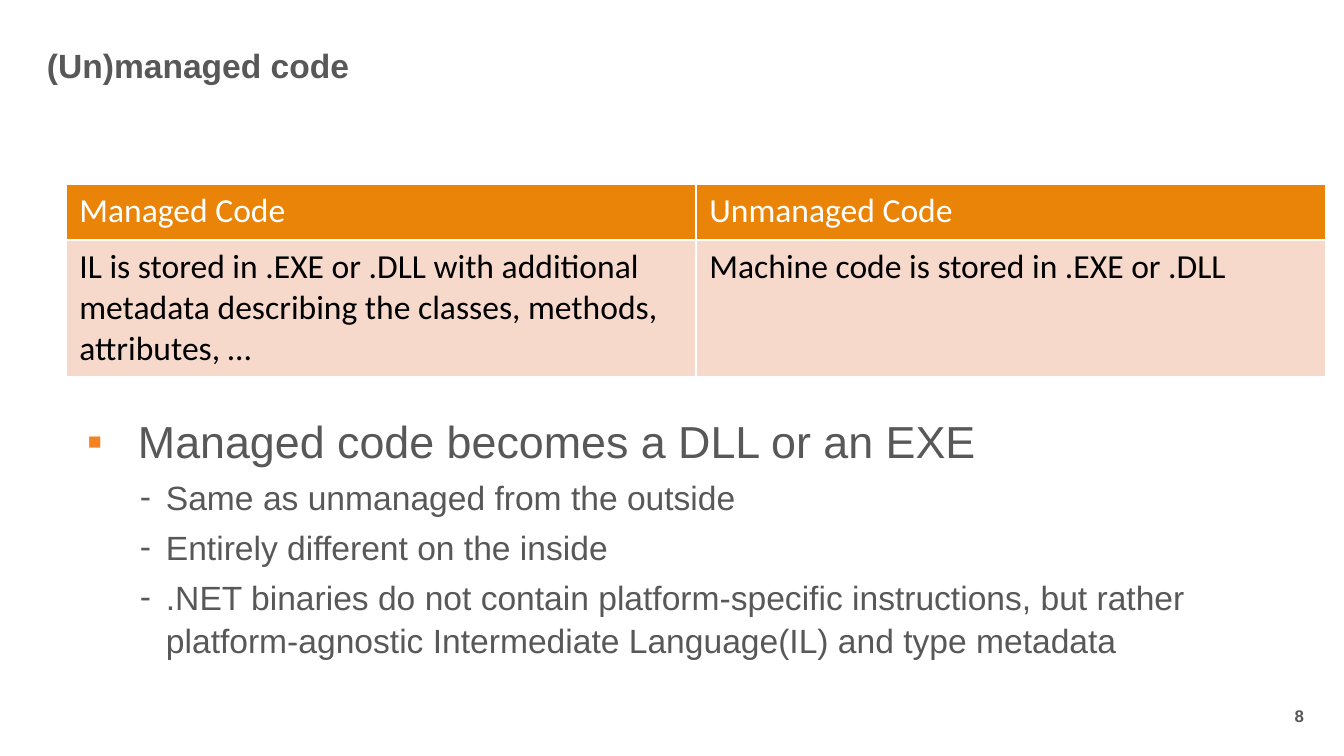
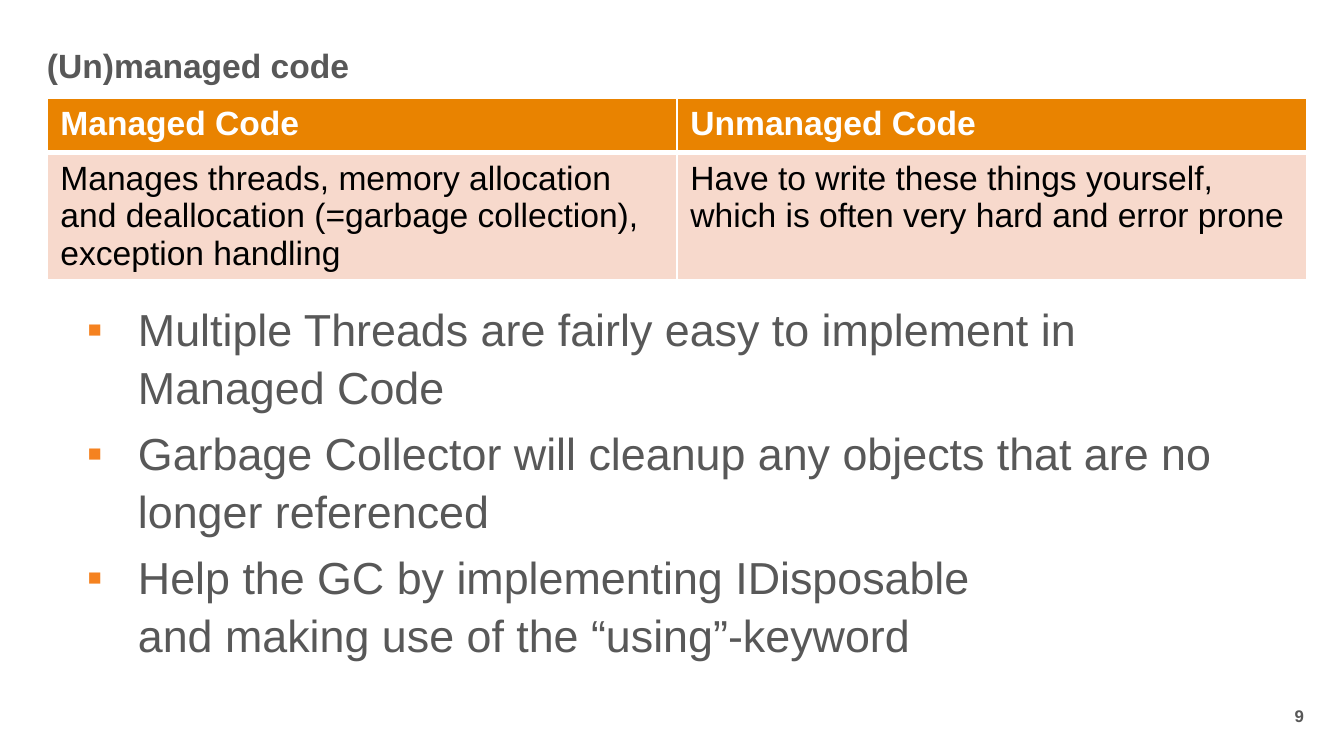
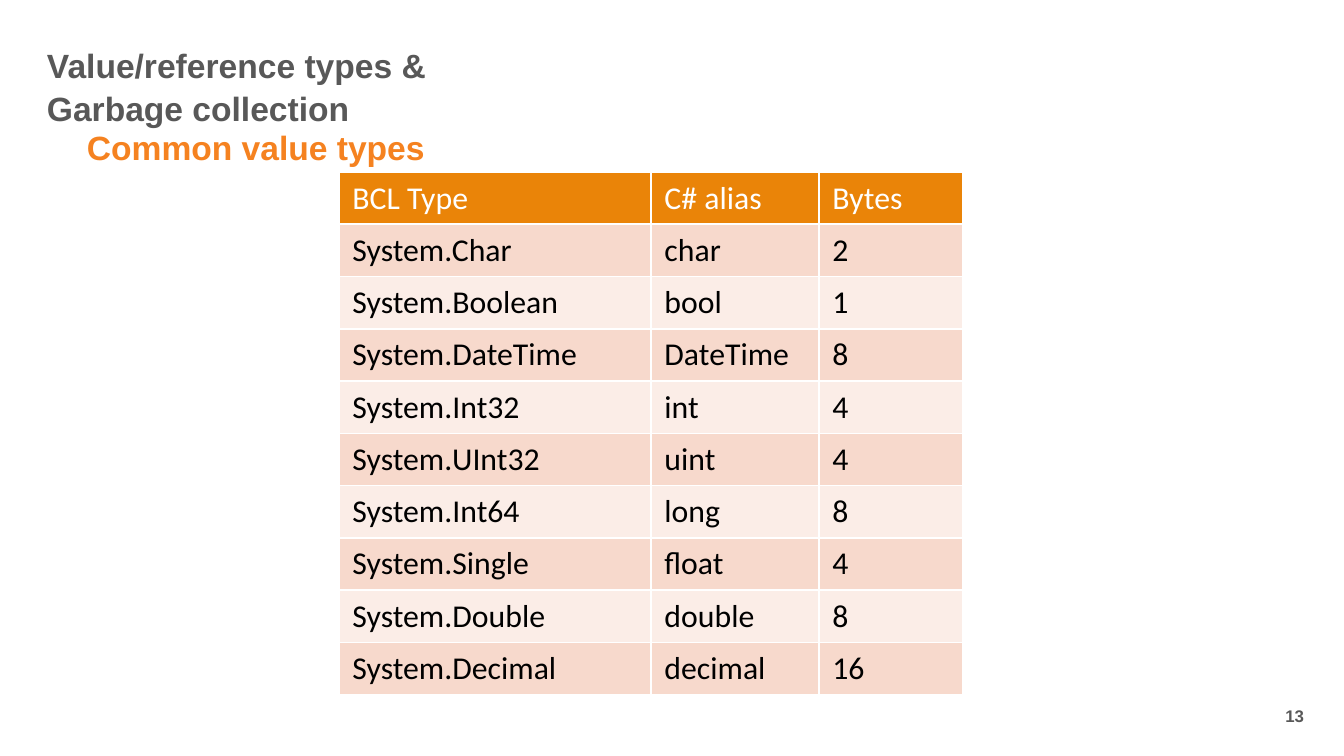
from dataclasses import dataclass

from lxml.etree import SubElement
from pptx import Presentation
from pptx.dml.color import RGBColor
from pptx.enum.text import MSO_ANCHOR as Anchor, MSO_AUTO_SIZE as AutoSize, PP_ALIGN as Align
from pptx.oxml.ns import qn
from pptx.util import Emu, Pt


@dataclass(frozen=True)
class Theme:
    gray: str = "585858"
    accent: str = "F58220"
    white: str = "FFFFFF"
    black: str = "000000"
    header: str = "EA8408"
    bands: tuple = ("F7D9CC", "FBEDE7")
    sans: str = "Arial"
    table_font: str = "Calibri"
    heading: int = 18
    bullets: tuple = (24, 18)
    number: int = 9
    spacing: float = 1.07


THEME = Theme()
PX = 914400 / 134.4
PAGE_SIZE = (1344, 756)
TITLE_BOX = (47, 42, 418, 36)
SUBTITLE_BOX = (87, 124, 1168, 70)
NUMBER_BOX = (1277, 699, 32, 31)
BODY_LEFT, BODY_WIDTH = 87, 1168

# Marker, marker colour, left margin and hanging indent of each bullet level
BULLETS = [("▪", THEME.accent, 51, -51), ("-", THEME.gray, 79, -26)]

PAGES = [
    {
        "number": 8,
        "title": "(Un)managed code",
        "table": {
            "at": (66, 184), "columns": [630, 630], "heights": [56, 136],
            "rows": [
                ("Managed Code", "Unmanaged Code"),
                ("IL is stored in .EXE or .DLL with additional metadata describing "
                 "the classes, methods, attributes, …",
                 "Machine code is stored in .EXE or .DLL"),
            ],
        },
        "body_top": 410,
        "body": [
            (0, "Managed code becomes a DLL or an EXE"),
            (1, "Same as unmanaged from the outside"),
            (1, "Entirely different on the inside"),
            (1, ".NET binaries do not contain platform-specific instructions, but rather "
                "platform-agnostic Intermediate Language(IL) and type metadata"),
        ],
    },
    {
        "number": 9,
        "title": "(Un)managed code",
        "table": {
            "at": (47, 98), "columns": [630, 630], "heights": [55, 125],
            "font": THEME.sans, "header": "E98300", "bold_header": True, "rule": 3,
            "rows": [
                ("Managed Code", "Unmanaged Code"),
                ("Manages threads, memory allocation and deallocation "
                 "(=garbage collection), exception handling",
                 "Have to write these things yourself, which is often very hard "
                 "and error prone"),
            ],
        },
        "body_top": 298,
        "body": [
            (0, "Multiple Threads are fairly easy to implement in Managed Code"),
            (0, "Garbage Collector will cleanup any objects that are no longer referenced"),
            (0, "Help the GC by implementing IDisposable\n"
                "and making use of the “using”-keyword"),
        ],
    },
    {
        "number": 13,
        "title": "Value/reference types & Garbage collection",
        "subtitle": "Common value types",
        "table": {
            "at": (339, 172), "columns": [312, 168, 144], "heights": [52] * 10, "size": 17,
            "rows": [
                ("BCL Type", "C# alias", "Bytes"),
                ("System.Char", "char", "2"),
                ("System.Boolean", "bool", "1"),
                ("System.DateTime", "DateTime", "8"),
                ("System.Int32", "int", "4"),
                ("System.UInt32", "uint", "4"),
                ("System.Int64", "long", "8"),
                ("System.Single", "float", "4"),
                ("System.Double", "double", "8"),
                ("System.Decimal", "decimal", "16"),
            ],
        },
    },
]


def px(length):
    return Emu(round(length * PX))


def style(para, size, color, bold=False, font=THEME.sans):
    para.font.name = font
    para.font.size = Pt(size)
    para.font.bold = bold
    para.font.color.rgb = RGBColor.from_string(color)


def prepare(box, area, inset=0):
    """Place a text shape and return its wrapping, top-anchored frame."""
    box.left, box.top, box.width, box.height = map(px, area)
    frame = box.text_frame
    frame.auto_size = AutoSize.NONE
    frame.word_wrap = True
    frame.vertical_anchor = Anchor.TOP
    frame.margin_left = frame.margin_right = px(inset)
    frame.margin_top = frame.margin_bottom = px(inset)
    return frame


def add_frame(page, area, inset=0):
    return prepare(page.shapes.add_textbox(0, 0, 0, 0), area, inset)


def write_line(frame, text, size, color, align=Align.LEFT):
    para = frame.paragraphs[0]
    para.text = text
    para.alignment = align
    para.line_spacing = THEME.spacing
    style(para, size, color, bold=True)


def add_bullet(para, level):
    marker, color, margin, indent = BULLETS[level]
    props = para._p.get_or_add_pPr()
    props.set("marL", str(px(margin)))
    props.set("indent", str(px(indent)))
    fill = SubElement(props, qn("a:buClr"))
    SubElement(fill, qn("a:srgbClr"), val=color)
    SubElement(props, qn("a:buFont"), typeface=THEME.sans)
    SubElement(props, qn("a:buChar"), char=marker)


def add_body(page, top, items):
    frame = add_frame(page, (BODY_LEFT, top, BODY_WIDTH, 270))
    for index, (level, text) in enumerate(items):
        para = frame.add_paragraph() if index else frame.paragraphs[0]
        para.text = text
        para.level = level
        add_bullet(para, level)
        size = THEME.bullets[level]
        para.line_spacing = THEME.spacing
        if index:
            para.space_before = Pt(size * 0.2)
        style(para, size, THEME.gray)


def set_borders(cell, top, bottom):
    props = cell._tc.get_or_add_tcPr()
    widths = {"a:lnL": 1, "a:lnR": 1, "a:lnT": top, "a:lnB": bottom}
    for position, (side, width) in enumerate(widths.items()):
        line = props.makeelement(qn(side), {"w": str(Pt(width))})
        fill = SubElement(line, qn("a:solidFill"))
        SubElement(fill, qn("a:srgbClr"), val=THEME.white)
        props.insert(position, line)


def add_table(page, data):
    rows, columns, heights = data["rows"], data["columns"], data["heights"]
    area = (*data["at"], sum(columns), sum(heights))
    table = page.shapes.add_table(len(rows), len(columns), *map(px, area)).table
    for column, width in zip(table.columns, columns):
        column.width = px(width)
    rule = data.get("rule", 1)
    for r, texts in enumerate(rows):
        table.rows[r].height = px(heights[r])
        is_header = r == 0
        fill = data.get("header", THEME.header) if is_header else THEME.bands[(r - 1) % 2]
        for c, text in enumerate(texts):
            cell = table.cell(r, c)
            cell.fill.solid()
            cell.fill.fore_color.rgb = RGBColor.from_string(fill)
            set_borders(cell, rule if r == 1 else 1, rule if is_header else 1)
            para = cell.text_frame.paragraphs[0]
            para.text = text
            style(para, data.get("size", THEME.heading),
                  THEME.white if is_header else THEME.black,
                  is_header and data.get("bold_header", False),
                  data.get("font", THEME.table_font))


def add_page(deck, content):
    page = deck.slides.add_slide(deck.slide_layouts[5])
    # Title, subtitle and page number
    title = prepare(page.shapes.title, TITLE_BOX)
    write_line(title, content["title"], THEME.heading, THEME.gray)
    if "subtitle" in content:
        subtitle = add_frame(page, SUBTITLE_BOX)
        write_line(subtitle, content["subtitle"], THEME.heading, THEME.accent)
    number = add_frame(page, NUMBER_BOX, inset=5)
    write_line(number, str(content["number"]), THEME.number, THEME.gray, Align.RIGHT)
    # Main content
    if "body" in content:
        add_body(page, content["body_top"], content["body"])
    add_table(page, content["table"])


def main():
    deck = Presentation()
    deck.slide_width, deck.slide_height = map(px, PAGE_SIZE)
    for content in PAGES:
        add_page(deck, content)
    deck.save("out.pptx")


if __name__ == "__main__":
    main()
